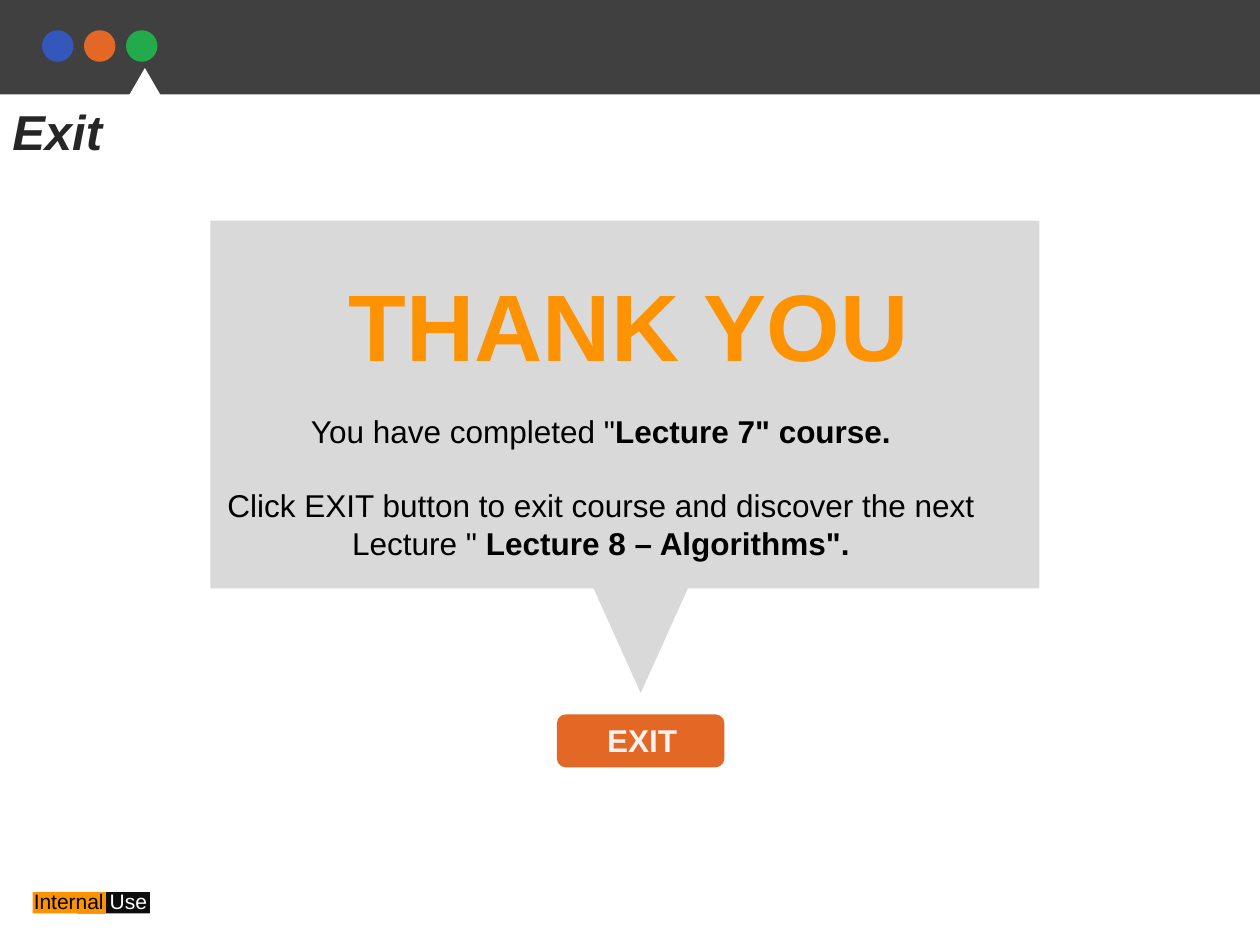
from pptx import Presentation
from pptx.dml.color import RGBColor
from pptx.enum.shapes import MSO_SHAPE as Shape
from pptx.enum.text import PP_ALIGN as Align
from pptx.util import Inches, Pt

COLORS = {
    "bar": "404040", "blue": "3357BB", "orange": "E46825", "green": "23AA4A",
    "white": "FFFFFF", "black": "000000", "ink": "262626", "tag": "0D0D0D",
    "amber": "FD9203", "panel": "D9D9D9", "pale": "F2F2F2",
}

deck = Presentation()
deck.slide_width = Inches(10)
deck.slide_height = Inches(7.5)
page = deck.slides.add_slide(deck.slide_layouts[6])


def add_block(kind, left, top, width, height, color):
    block = page.shapes.add_shape(
        kind, Inches(left), Inches(top), Inches(width), Inches(height))
    block.shadow.inherit = False
    block.fill.solid()
    block.fill.fore_color.rgb = RGBColor.from_string(COLORS[color])
    block.line.fill.background()
    return block


def add_text(paragraphs, left, top, width, height, size, color="black",
             bold=False, italic=False, align=Align.LEFT, gap=0):
    box = page.shapes.add_textbox(
        Inches(left), Inches(top), Inches(width), Inches(height))
    frame = box.text_frame
    frame.word_wrap = True
    for index, spans in enumerate(paragraphs):
        para = frame.add_paragraph() if index else frame.paragraphs[0]
        para.alignment = align
        para.space_before = Pt(gap if index else 0)
        for words, changes in spans:
            span = para.add_run()
            span.text = words
            span.font.name = "Arial"
            span.font.size = Pt(size)
            span.font.bold = changes.get("bold", bold)
            span.font.italic = italic
            span.font.color.rgb = RGBColor.from_string(
                COLORS[changes.get("color", color)])


add_block(Shape.RECTANGLE, 0, 0, 10, 0.75, "bar")
for index, color in enumerate(["blue", "orange", "green"]):
    add_block(Shape.OVAL, (index + 1) / 3, 0.24, 0.25, 0.25, color)
add_block(Shape.ISOSCELES_TRIANGLE, 0.86, 0.54, 0.58, 0.5, "white")

for left, color in [(0.61, "tag"), (0.26, "amber")]:
    add_block(Shape.RECTANGLE, left, 7.08, 0.58, 0.17, color)
add_text([[("Internal ", {}), ("Use", {"color": "white"})]],
         0.17, 7, 1.5, 0.3, size=12)

add_text([[("Exit", {})]], 0, 0.76, 9.53, 0.57,
         size=28, color="ink", bold=True, italic=True)

pointer = add_block(Shape.ISOSCELES_TRIANGLE, 4.67, 4.58, 0.83, 0.92, "panel")
pointer.rotation = 180
add_block(Shape.RECTANGLE, 1.67, 1.75, 6.58, 2.92, "panel")
add_block(Shape.ROUNDED_RECTANGLE, 4.42, 5.67, 1.33, 0.42, "orange")

message = [
    [('You have completed "', {}), ('Lecture 7" course.', {"bold": True})],
    [('Click EXIT button to exit course and discover the next Lecture "', {}),
     (' Lecture 8 – Algorithms".', {"bold": True})],
]
add_text(message, 1.33, 3.22, 6.88, 1.62, size=18, align=Align.CENTER, gap=21)
add_text([[("THANK YOU", {})]], 2.67, 2.07, 4.75, 1.01,
         size=54, color="amber", bold=True)
add_text([[("EXIT", {})]], 4.72, 5.67, 1.33, 0.42,
         size=18, color="pale", bold=True)

deck.save("out.pptx")
